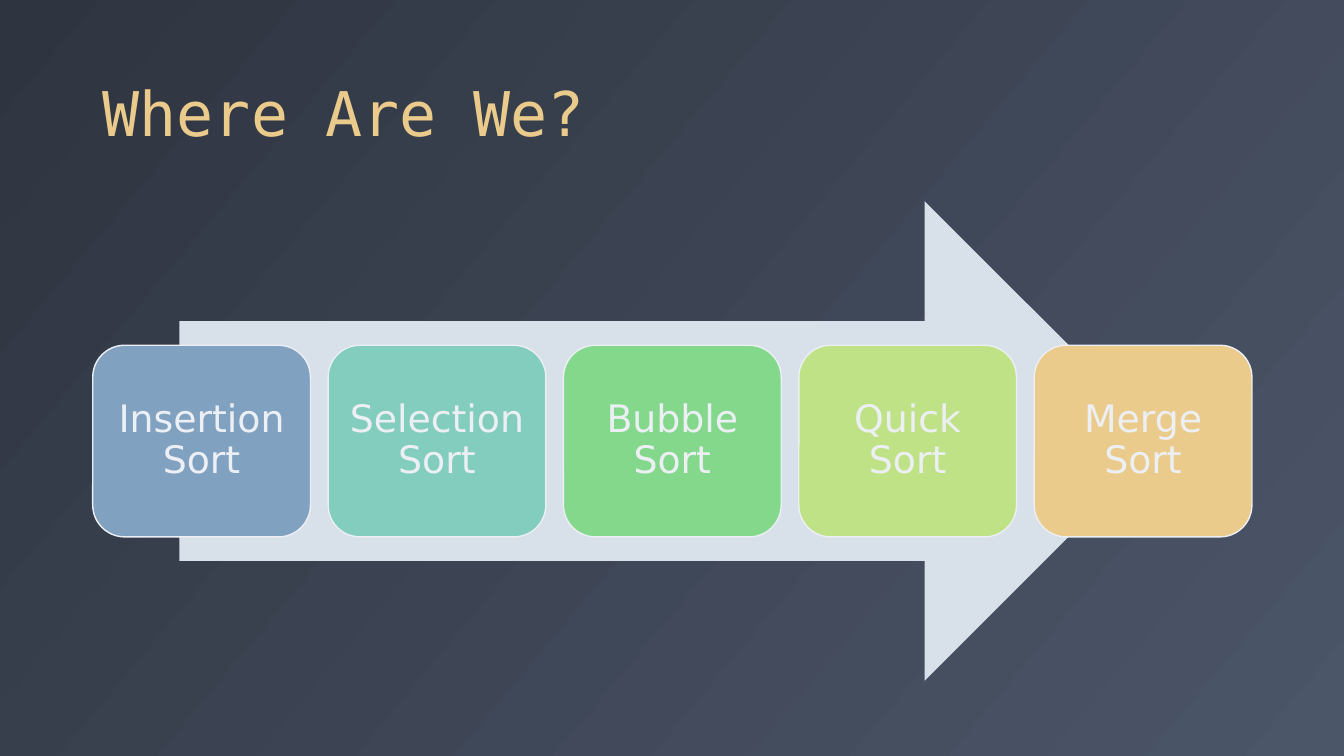
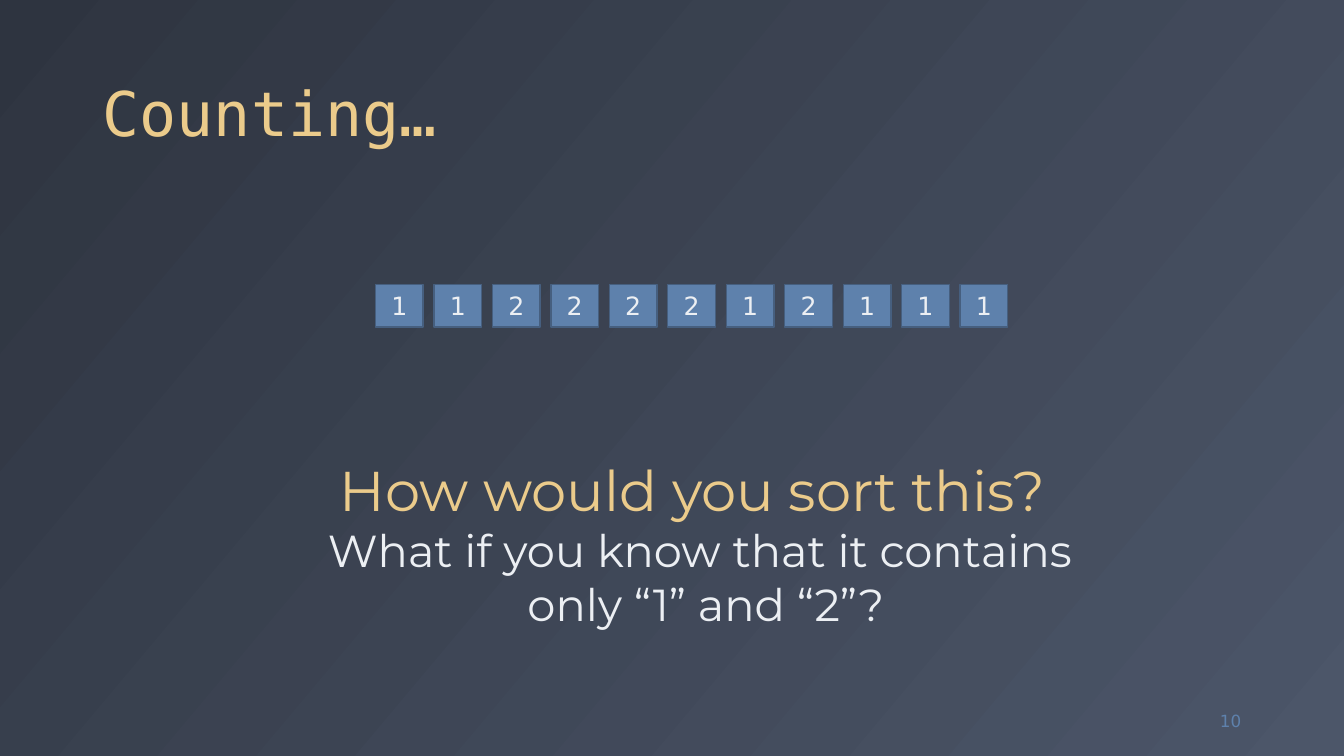
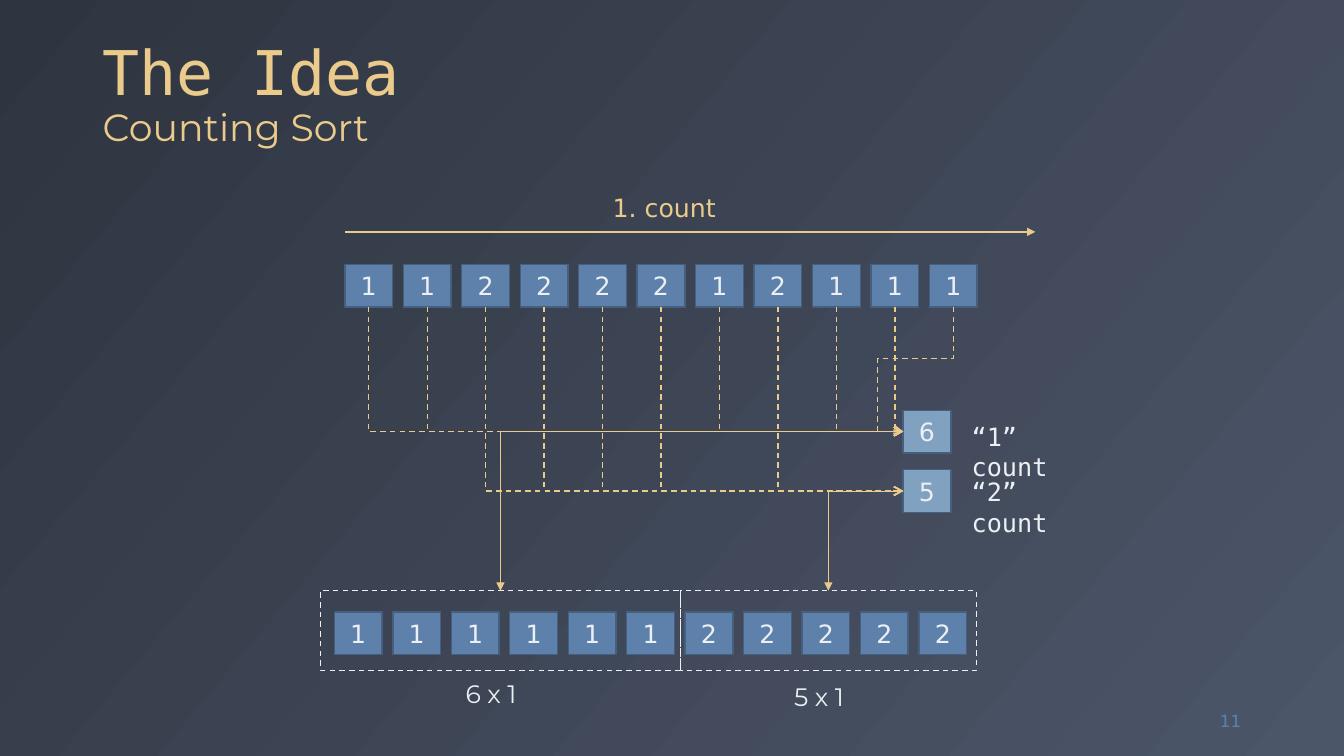
from lxml import etree
from pptx import Presentation
from pptx.dml.color import RGBColor
from pptx.enum.dml import MSO_LINE
from pptx.enum.shapes import MSO_CONNECTOR, MSO_SHAPE
from pptx.enum.text import MSO_ANCHOR, PP_ALIGN
from pptx.oxml.ns import qn
from pptx.util import Inches, Pt

WIDE, HIGH = Inches(13.33), Inches(7.5)
RECT, ROUND, ARROW = MSO_SHAPE.RECTANGLE, MSO_SHAPE.ROUNDED_RECTANGLE, MSO_SHAPE.RIGHT_ARROW
ELBOW, LINE, DASH = MSO_CONNECTOR.ELBOW, MSO_CONNECTOR.STRAIGHT, MSO_LINE.DASH
LEFT, MID, RIGHT = PP_ALIGN.LEFT, PP_ALIGN.CENTER, PP_ALIGN.RIGHT
TOP, CENTER, LOW = MSO_ANCHOR.TOP, MSO_ANCHOR.MIDDLE, MSO_ANCHOR.BOTTOM
SITE = {"top": 0, "left": 1, "low": 2}
SANS, MONO, MONT = "DejaVu Sans", "DejaVu Sans Mono", "Montserrat"
COLORS = {
    "night": "2E3440", "slate": "4C5669", "gold": "EBCB8B", "snow": "ECEFF3",
    "blue": "5E81AC", "edge": "465F7F", "sky": "81A1C1", "mist": "D8E0E9",
    "teal": "82CDBE", "green": "84D88B", "lime": "C0E287",
}
CARDS = [("Insertion Sort", "sky"), ("Selection Sort", "teal"), ("Bubble Sort", "green"),
         ("Quick Sort", "lime"), ("Merge Sort", "gold")]
DIGITS = "11222212111"
SIDE, SPAN = 6.9, 86.25
TILE_W, TILE_H, PITCH = 3.55, 5.63, 4.35


def tint(name):
    """Return the named colour."""
    return RGBColor.from_string(COLORS[name])


def place(left, top, width, height):
    """Turn percentages of the slide into lengths."""
    return (int(WIDE * left / 100), int(HIGH * top / 100),
            int(WIDE * width / 100), int(HIGH * height / 100))


def fill_text(frame, paras, align=LEFT, anchor=TOP, wrap=True, space=None):
    """Write paragraphs of (text, size, font, colour) runs into a frame."""
    frame.word_wrap, frame.vertical_anchor = wrap, anchor
    for i, runs in enumerate(paras):
        para = frame.add_paragraph() if i else frame.paragraphs[0]
        para.alignment = align
        if space:
            para.line_spacing = space
        for text, size, face, color in runs:
            for j, part in enumerate(text.split("\n")):
                if j:
                    para.add_line_break()
                if part:
                    run = para.add_run()
                    run.text = part
                    run.font.size, run.font.name = Pt(size), face
                    run.font.color.rgb = tint(color)


def add_text(slide, at, paras, **style):
    """Add a text box."""
    fill_text(slide.shapes.add_textbox(*place(*at)).text_frame, paras, **style)


def add_box(slide, kind, at, fill=None, line=None, dash=None):
    """Add a preset shape with plain fill and outline."""
    box = slide.shapes.add_shape(kind, *place(*at))
    box.shadow.inherit = False
    if fill:
        box.fill.solid()
        box.fill.fore_color.rgb = tint(fill)
    else:
        box.fill.background()
    if line:
        box.line.color.rgb, box.line.width = tint(line), Pt(1)
        box.line.dash_style = dash
    else:
        box.line.fill.background()
    return box


def add_tile(slide, left, top, digit, fill="blue"):
    """Add a small square holding one digit."""
    tile = add_box(slide, RECT, (left, top, TILE_W, TILE_H), fill, "edge")
    fill_text(tile.text_frame, [[(digit, 18, SANS, "snow")]], MID, CENTER)
    return tile


def add_row(slide, left, top, digits):
    """Add a row of evenly spaced tiles."""
    return [add_tile(slide, left + i * PITCH, top, d) for i, d in enumerate(digits)]


def style_link(link, width, head, dash=None):
    """Give a connector its gold line and arrowhead."""
    link.line.color.rgb, link.line.width = tint("gold"), Pt(width)
    link.line.dash_style = dash
    edge = link.element.spPr.find(qn("a:ln"))
    etree.SubElement(edge, qn("a:tailEnd"), type=head)
    etree.SubElement(link.element.spPr, qn("a:effectLst"))


def add_elbow(slide, start, end, sites, bends=()):
    """Join two shapes by a bent connector and return it."""
    link = slide.shapes.add_connector(ELBOW, 0, 0, 0, 0)
    link.begin_connect(start, SITE[sites[0]])
    link.end_connect(end, SITE[sites[1]])
    geom = link.element.spPr.find(qn("a:prstGeom"))
    geom.set("prst", "bentConnector4" if bends else "bentConnector2")
    for i, bend in enumerate(bends, 1):
        etree.SubElement(geom.find(qn("a:avLst")), qn("a:gd"),
                         name=f"adj{i}", fmla=f"val {bend}")
    return link


def add_drop(slide, tile, count, bends=()):
    """Run a dashed connector down from a tile and across to a count."""
    link = add_elbow(slide, tile, count, ("low", "left"), bends)
    ahead = link.end_x > link.begin_x
    wide, high = link.width, link.height
    link.left, link.top = link.left + (wide - high) // 2, link.top + (high - wide) // 2
    link.width, link.height = high, wide
    frame = link.element.spPr.find(qn("a:xfrm"))
    frame.set("rot", str((270 if ahead else 90) * 60000))
    frame.set("flipH", "1" if ahead else "0")
    style_link(link, 1, "arrow", DASH)


def add_page(deck, title, number=None):
    """Add a slide with gradient, title and optional page number."""
    slide = deck.slides.add_slide(deck.slide_layouts[6])
    fill = slide.background.fill
    fill.gradient()
    fill.gradient_angle = 320
    for stop, color in zip(fill.gradient_stops, ("night", "slate")):
        stop.color.rgb = tint(color)
    add_text(slide, (SIDE, 2.33, SPAN, 18.13), [title], anchor=LOW, space=0.9)
    if number:
        add_text(slide, (86.85, 92.67, 6.25, 5.33),
                 [[(number, 12, SANS, "blue")]], align=RIGHT, anchor=CENTER)
    return slide


def head(text):
    """Return a title run."""
    return text, 44, MONO, "gold"


def build_map(deck):
    """Build the overview of sorting methods."""
    slide = add_page(deck, [head("Where Are We?")])
    add_box(slide, ARROW, (13.35, 26.6, 73.3, 63.47), "mist")
    width = 16.2
    step = (SPAN - width) / (len(CARDS) - 1)
    for i, (name, color) in enumerate(CARDS):
        card = add_box(slide, ROUND, (SIDE + i * step, 45.67, width, 25.35), color, "snow")
        frame = card.text_frame
        frame.margin_left = frame.margin_right = Inches(0.1)
        fill_text(frame, [[(name, 27, SANS, "snow")]], MID, CENTER, space=0.9)


def build_quiz(deck):
    """Build the question about the digits."""
    slide = add_page(deck, [head("Counting…")], "10")
    add_row(slide, 27.94, 37.6, DIGITS)
    add_text(slide, (15.98, 59.6, 72.23, 24.67), [
        [("How would you sort this? ", 40, MONT, "gold")],
        [("What if you know that it contains\n only “1” and “2”?", 32, MONT, "snow")],
    ], align=MID)


def build_idea(deck):
    """Build the diagram of counting sort."""
    slide = add_page(deck, [head("The Idea\n"), ("Counting Sort", 27, MONT, "gold")], "11")
    tiles = add_row(slide, 25.66, 34.97, DIGITS)
    add_row(slide, 24.88, 80.93, sorted(DIGITS))

    left, top, right, _ = place(25.66, 30.67, 77.04, 0)
    style_link(slide.shapes.add_connector(LINE, left, top, right, top), 1.5, "triangle")
    add_text(slide, (44.85, 24.8, 9.38, 5.33),
             [[("1. count", 18, SANS, "gold")]], wrap=False)

    counts, groups = {}, {}
    for digit, row, label, at, note, spot in (
            ("1", 54.27, 55.07, (23.85, 26.78), "6 x 1", (33.9, 89.07)),
            ("2", 62.13, 62.4, (50.63, 22.02), "5 x 1", (58.35, 89.47))):
        counts[digit] = add_tile(slide, 67.2, row, str(DIGITS.count(digit)), "sky")
        add_text(slide, (71.55, label, 10.73, 5.33),
                 [[(f"“{digit}” count", 18, MONO, "snow")]])
        groups[digit] = add_box(slide, RECT, (at[0], 78.13, at[1], 10.6),
                                line="snow", dash=DASH)
        add_text(slide, (*spot, 5.4, 5.33), [[(note, 18, MONT, "snow")]], wrap=False)

    for tile, digit in zip(tiles, DIGITS):
        add_drop(slide, tile, counts[digit], (41500, 150700) if tile is tiles[-1] else ())
    for digit, count in counts.items():
        style_link(add_elbow(slide, count, groups[digit], ("left", "top")), 0.5, "triangle")


def main():
    """Build and save the deck."""
    deck = Presentation()
    deck.slide_width, deck.slide_height = WIDE, HIGH
    build_map(deck)
    build_quiz(deck)
    build_idea(deck)
    deck.save("out.pptx")


if __name__ == "__main__":
    main()
